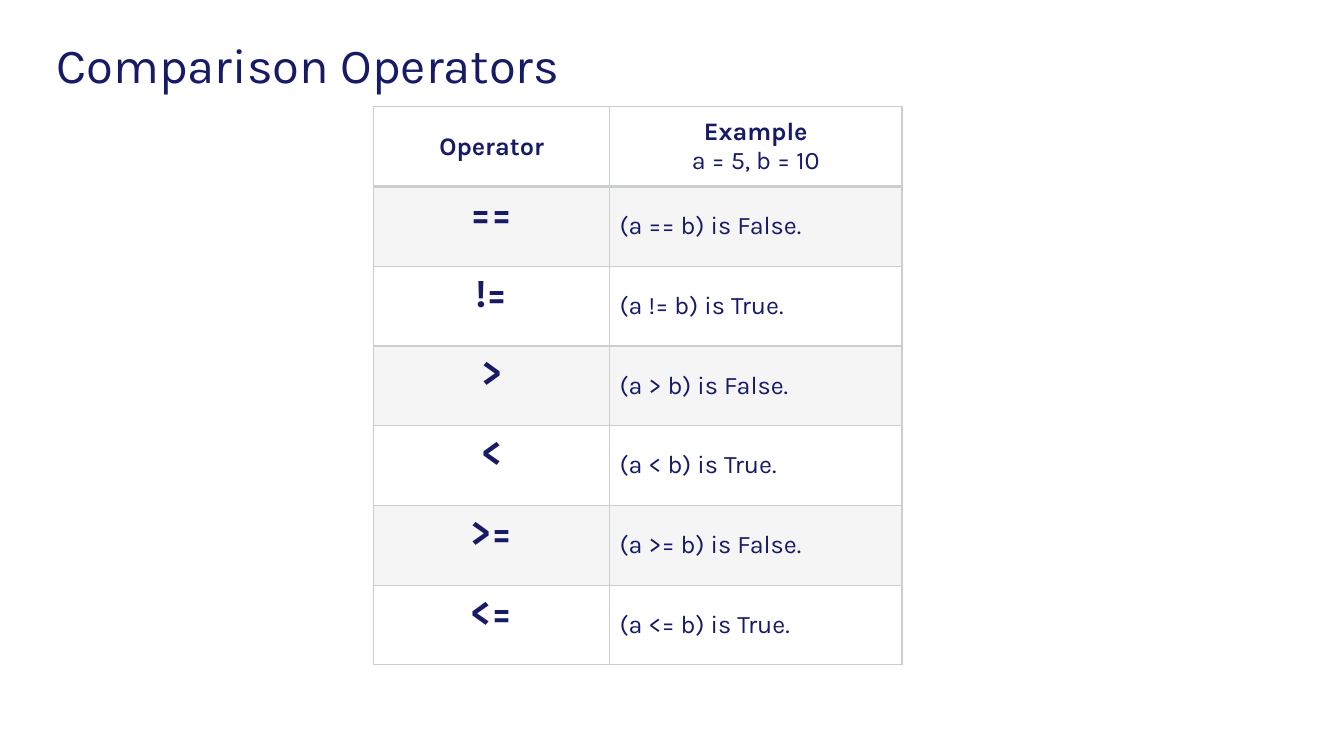
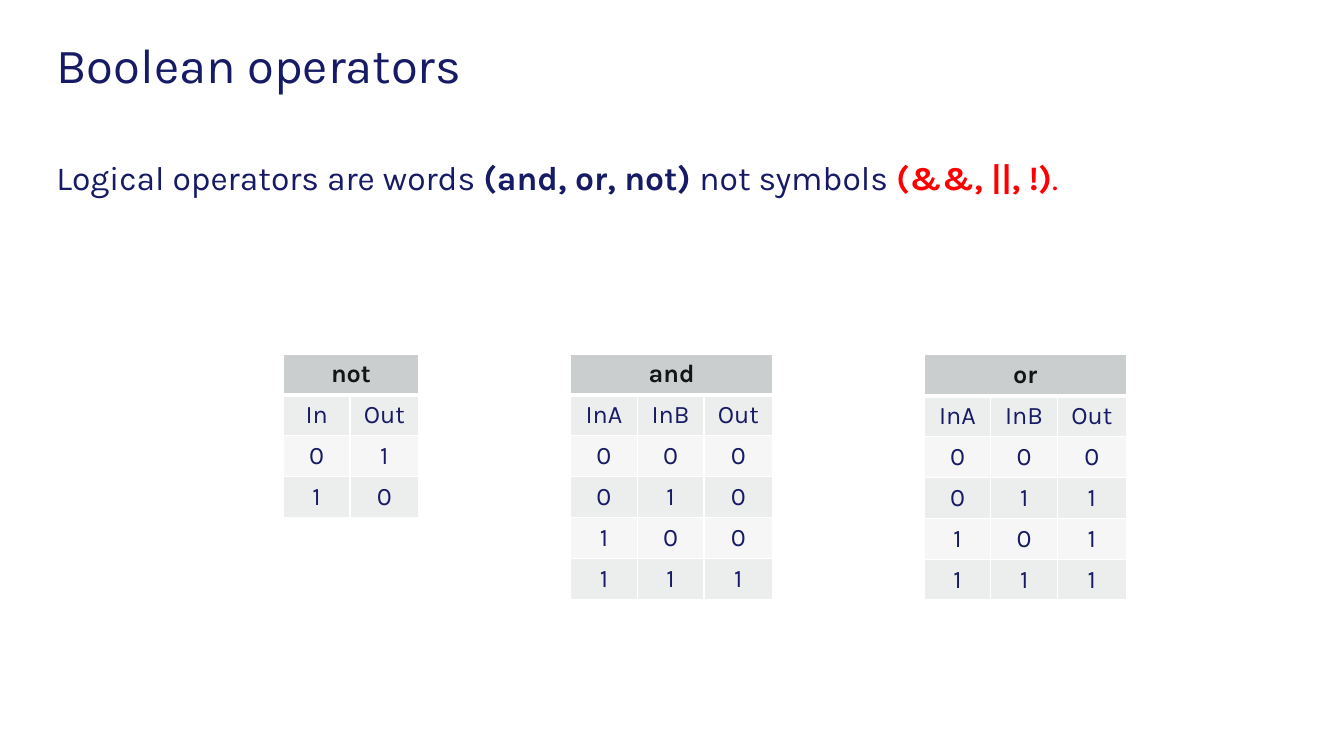
from lxml import etree
from pptx import Presentation
from pptx.dml.color import RGBColor
from pptx.enum.text import MSO_ANCHOR, MSO_AUTO_SIZE, PP_ALIGN
from pptx.oxml.ns import qn
from pptx.util import Cm, Pt

LEFT, CENTER = PP_ALIGN.LEFT, PP_ALIGN.CENTER
TOP, MIDDLE = MSO_ANCHOR.TOP, MSO_ANCHOR.MIDDLE
NO_FIT = MSO_AUTO_SIZE.NONE
TITLE_ONLY = 5

FONT = "Karla"
NAVY, BLACK, RED, WHITE = "171B65", "141515", "FF0000", "FFFFFF"
GREY, BAND, LIGHT, PALE = "CBCECE", "ECEDED", "F6F6F6", "F5F5F5"


def rgb(color):
    return RGBColor.from_string(color)


class Deck:
    """Shared style and the slide being built."""

    def __init__(self):
        self.prs = Presentation()
        self.prs.slide_width, self.prs.slide_height = Cm(33.87), Cm(19.05)
        self.s = None

    def slide(self, title):
        self.s = self.prs.slides.add_slide(self.prs.slide_layouts[TITLE_ONLY])
        sp = self.s.shapes.title
        self.place(sp, 1.17, 0.97, 31.98, 1.47)
        tf = self.frame(sp, MIDDLE)
        self.add_runs(tf.paragraphs[0], [(title, {})], size=35, spacing=0.9)

    def place(self, sp, left, top, width, height):
        sp.left, sp.top = Cm(left), Cm(top)
        sp.width, sp.height = Cm(width), Cm(height)

    def frame(self, sp, anchor):
        tf = sp.text_frame
        tf.word_wrap = True
        tf.auto_size = NO_FIT
        tf.vertical_anchor = anchor
        return tf

    def add_runs(self, p, runs, size=18, align=LEFT, spacing=None):
        p.alignment = align
        if spacing:
            p.line_spacing = spacing
        for text, style in runs:
            r = p.add_run()
            r.text = text
            r.font.name = FONT
            r.font.size = Pt(size)
            r.font.bold = style.get("bold", False)
            r.font.color.rgb = rgb(style.get("color", NAVY))

    def body(self, runs, left, top, width, height):
        sp = self.s.shapes.add_textbox(Cm(left), Cm(top), Cm(width), Cm(height))
        p = self.frame(sp, TOP).paragraphs[0]
        p.space_before = Pt(10)
        self.add_runs(p, runs, size=24, spacing=0.9)

    def table(self, left, top, widths, row_height, rows):
        frame = self.s.shapes.add_table(
            rows, len(widths), Cm(left), Cm(top),
            Cm(sum(widths)), Cm(row_height * rows))
        table = frame.table
        table.first_row = table.horz_banding = False
        for column, width in zip(table.columns, widths):
            column.width = Cm(width)
        for row in table.rows:
            row.height = Cm(row_height)
        return table

    def cell(self, cell, paragraphs, size=18, align=CENTER, anchor=MIDDLE):
        cell.vertical_anchor = anchor
        tf = cell.text_frame
        for i, runs in enumerate(paragraphs):
            p = tf.add_paragraph() if i else tf.paragraphs[0]
            self.add_runs(p, runs, size, align)

    def paint(self, cell, fill, line, top=1, bottom=1):
        tcPr = cell._tc.get_or_add_tcPr()
        for side, width in (("L", 1), ("R", 1), ("T", top), ("B", bottom)):
            ln = etree.SubElement(tcPr, qn(f"a:ln{side}"), w=str(Pt(width)))
            solid = etree.SubElement(ln, qn("a:solidFill"))
            etree.SubElement(solid, qn("a:srgbClr"), val=line)
        if fill:
            cell.fill.solid()
            cell.fill.fore_color.rgb = rgb(fill)
        else:
            cell.fill.background()

    def comparison_table(self, operators):
        table = self.table(9.42, 2.69, (5.94, 7.37), 2.01, len(operators) + 1)
        bold = {"bold": True}
        self.cell(table.cell(0, 0), [[("Operator", bold)]])
        self.cell(table.cell(0, 1),
                  [[("Example", bold)], [("a = 5, b = 10", {})]])
        for row, (operator, result) in enumerate(operators, 1):
            self.cell(table.cell(row, 0), [[(operator, bold)]], 28, anchor=TOP)
            self.cell(table.cell(row, 1),
                      [[(f"(a {operator} b) is {result}.", {})]], align=LEFT)
        for row in range(len(operators) + 1):
            for column in range(2):
                self.paint(table.cell(row, column), PALE if row % 2 else None,
                           GREY, 2 if row == 1 else 1, 1 if row else 2)

    def truth_table(self, name, left, top, rows):
        widths = [1.68] * (len(rows[0]) - 1) + [1.73]
        table = self.table(left, top, widths, 1.03, len(rows) + 1)
        for column in range(len(widths)):
            self.paint(table.cell(0, column), GREY, WHITE, bottom=3)
        table.cell(0, 0).merge(table.cell(0, len(widths) - 1))
        self.cell(table.cell(0, 0), [[(name, {"bold": True, "color": BLACK})]])
        for row, values in enumerate(rows, 1):
            for column, value in enumerate(values):
                cell = table.cell(row, column)
                self.cell(cell, [[(str(value), {})]])
                self.paint(cell, BAND if row % 2 else LIGHT, WHITE,
                           3 if row == 1 else 1)


def main():
    deck = Deck()

    # Comparison operators
    deck.slide("Comparison Operators")
    deck.comparison_table([
        ("==", False), ("!=", True), (">", False),
        ("<", True), (">=", False), ("<=", True)])

    # Boolean operators
    deck.slide("Boolean operators")
    deck.body([
        ("Logical operators are words ", {}),
        ("(and, or, not) ", {"bold": True}),
        ("not symbols ", {}),
        ("(&&, ||, !)", {"bold": True, "color": RED}),
        (".", {"color": RED})], 1.17, 3.94, 31.52, 3.48)

    # Truth tables
    pairs = [(a, b) for a in (0, 1) for b in (0, 1)]
    heads = ("InA", "InB", "Out")
    deck.truth_table("not", 7.14, 8.92, [("In", "Out"), (0, 1), (1, 0)])
    deck.truth_table("and", 14.38, 8.92,
                     [heads] + [(a, b, a & b) for a, b in pairs])
    deck.truth_table("or", 23.29, 8.94,
                     [heads] + [(a, b, a | b) for a, b in pairs])

    deck.prs.save("out.pptx")


if __name__ == "__main__":
    main()
